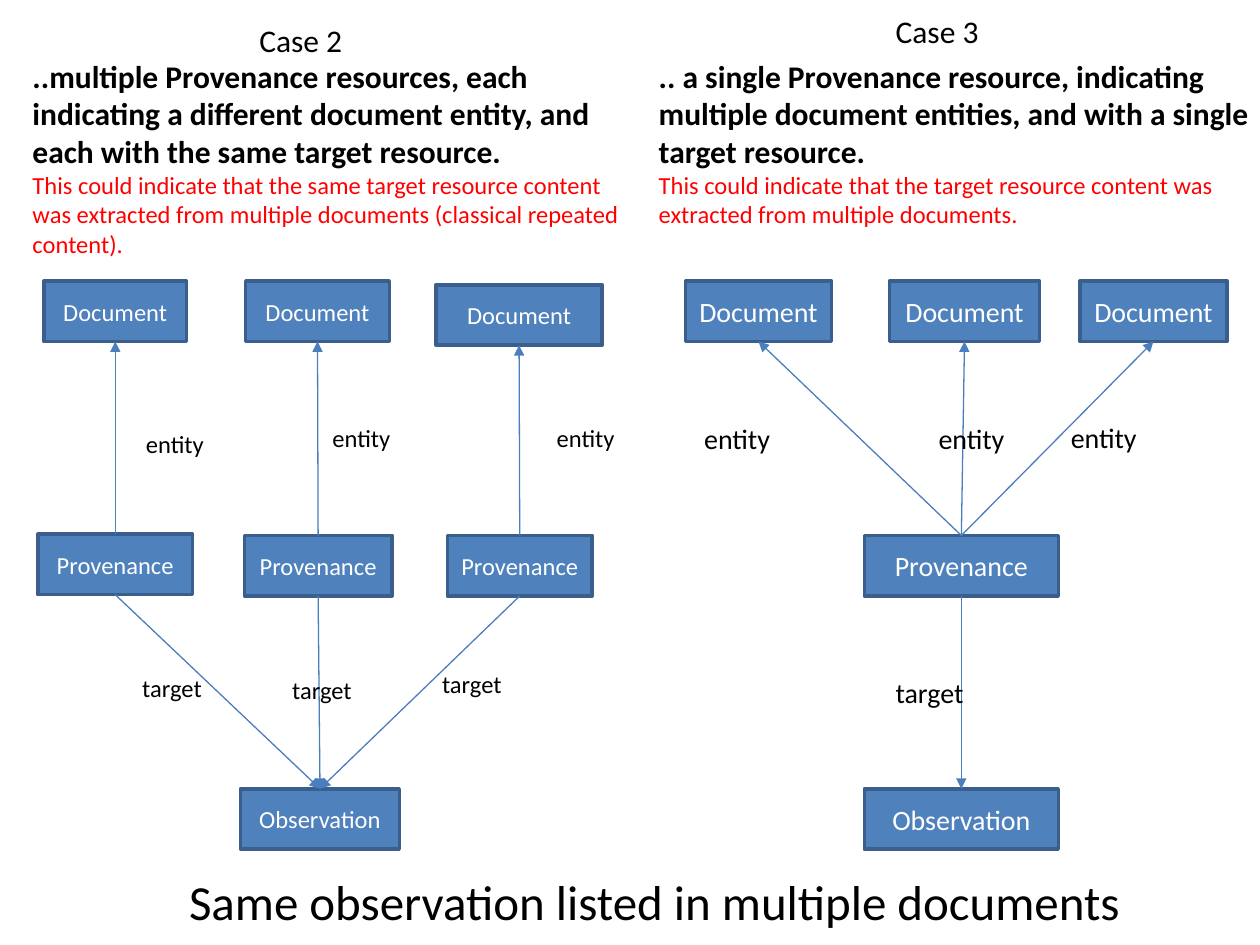
from lxml.etree import SubElement
from pptx import Presentation
from pptx.dml.color import RGBColor
from pptx.enum.shapes import MSO_CONNECTOR as Connector, MSO_SHAPE as Shape
from pptx.enum.text import MSO_ANCHOR as Anchor, MSO_AUTO_SIZE as AutoSize, PP_ALIGN as Align
from pptx.oxml.ns import qn
from pptx.util import Pt

EMU_PER_PX = 9144  # 100 px to the inch
BOX_FILL = RGBColor(0x4F, 0x81, 0xBD)
BOX_LINE = RGBColor(0x3A, 0x5F, 0x8C)
ARROW = RGBColor(0x4B, 0x7E, 0xBC)
BLACK = RGBColor(0, 0, 0)
WHITE = RGBColor(255, 255, 255)
RED = RGBColor(255, 0, 0)
TOP, BOTTOM = 0, 2  # connection sites of a rectangle
BOX_HEIGHT = 48
TITLE_ONLY = 5


def px(*lengths):
    return [length * EMU_PER_PX for length in lengths]


def write(para, text, size, color=BLACK, bold=False):
    span = para.add_run()
    span.text = text
    font = span.font
    font.name, font.size, font.bold = "Calibri", Pt(size), bold
    font.color.rgb = color


class Diagram:
    """Draws in one style on the current page; size is that of boxes and labels."""

    def __init__(self, page, size=14):
        self.page = page
        self.size = size

    def title(self, text, left, top, width, height):
        holder = self.page.shapes.title
        holder.left, holder.top, holder.width, holder.height = px(left, top, width, height)
        frame = holder.text_frame
        frame.vertical_anchor = Anchor.TOP
        frame.word_wrap = False
        frame.auto_size = AutoSize.NONE
        para = frame.paragraphs[0]
        para.alignment = Align.LEFT
        write(para, text, 28)

    def text_area(self, left, top, width, height, wrap):
        area = self.page.shapes.add_textbox(*px(left, top, width, height))
        frame = area.text_frame
        frame.word_wrap = wrap
        frame.auto_size = AutoSize.SHAPE_TO_FIT_TEXT
        return frame.paragraphs[0]

    def label(self, text, left, top, width, height=34, size=None, wrap=False):
        write(self.text_area(left, top, width, height, wrap), text, size or self.size)

    def statement(self, claim, meaning, left, top, width, height):
        para = self.text_area(left, top, width, height, True)
        write(para, claim, 18, bold=True)
        para.add_line_break()
        write(para, meaning, 14, RED)

    def box(self, text, left, top, width):
        box = self.page.shapes.add_shape(Shape.RECTANGLE, *px(left, top, width, BOX_HEIGHT))
        box.shadow.inherit = False
        box.fill.solid()
        box.fill.fore_color.rgb = BOX_FILL
        box.line.color.rgb = BOX_LINE
        box.line.width = Pt(2)
        box.text_frame.vertical_anchor = Anchor.MIDDLE
        para = box.text_frame.paragraphs[0]
        para.alignment = Align.CENTER
        write(para, text, self.size, WHITE)
        return box

    def arrow(self, start, start_site, end, end_site):
        arrow = self.page.shapes.add_connector(Connector.STRAIGHT, 0, 0, 0, 0)
        arrow.begin_connect(start, start_site)
        arrow.end_connect(end, end_site)
        arrow.line.color.rgb = ARROW
        arrow.line.width = Pt(0.75)
        SubElement(arrow.line._get_or_add_ln(), qn("a:tailEnd"), type="triangle")
        SubElement(arrow._element.spPr, qn("a:effectLst"))


def draw_case_2(page):
    diagram = Diagram(page, size=14)
    diagram.label("Case 2", 196, 12, 87, 40, size=18)
    diagram.statement(
        "..multiple Provenance resources, each indicating a different document entity, "
        "and each with the same target resource.",
        "This could indicate that the same target resource content was extracted from "
        "multiple documents (classical repeated content).",
        16, 40, 500, 172)
    observation = diagram.box("Observation", 191, 626, 126)
    # (left, top, width) of each document and of the provenance below it
    chains = [((35, 223, 113), (30, 424, 123)),
              ((195, 223, 114), (194, 425, 117)),
              ((346, 226, 132), (355, 425, 115))]
    for document_place, provenance_place in chains:
        document = diagram.box("Document", *document_place)
        provenance = diagram.box("Provenance", *provenance_place)
        diagram.arrow(provenance, TOP, document, BOTTOM)
        diagram.arrow(provenance, BOTTOM, observation, TOP)
    for left, top in [(106, 336), (254, 331), (432, 331)]:
        diagram.label("entity", left, top, 67)
    for left, top in [(103, 529), (222, 531), (341, 526)]:
        diagram.label("target", left, top, 68)


def draw_case_3(page):
    diagram = Diagram(page, size=16)
    diagram.label("Case 3", 701, 5, 112, 40, size=18, wrap=True)
    diagram.statement(
        ".. a single Provenance resource, indicating multiple document entities, "
        "and with a single target resource.",
        "This could indicate that the target resource content was extracted from "
        "multiple documents.",
        513, 40, 500, 148)
    observation = diagram.box("Observation", 686, 626, 154)
    provenance = diagram.box("Provenance", 686, 425, 154)
    diagram.arrow(provenance, BOTTOM, observation, TOP)
    for left, width in [(544, 116), (706, 119), (857, 117)]:
        document = diagram.box("Document", left, 223, width)
        diagram.arrow(provenance, TOP, document, BOTTOM)
    for left, top in [(549, 330), (735, 330), (840, 329)]:
        diagram.label("entity", left, top, 112, 56, wrap=True)
    diagram.label("target", 701, 531, 95, 56, wrap=True)


def main():
    deck = Presentation()
    deck.slide_width, deck.slide_height = px(1000, 750)
    page = deck.slides.add_slide(deck.slide_layouts[TITLE_ONLY])
    Diagram(page).title("Same observation listed in multiple documents", 140, 687, 768, 57)
    draw_case_2(page)
    draw_case_3(page)
    deck.save("out.pptx")


if __name__ == "__main__":
    main()
